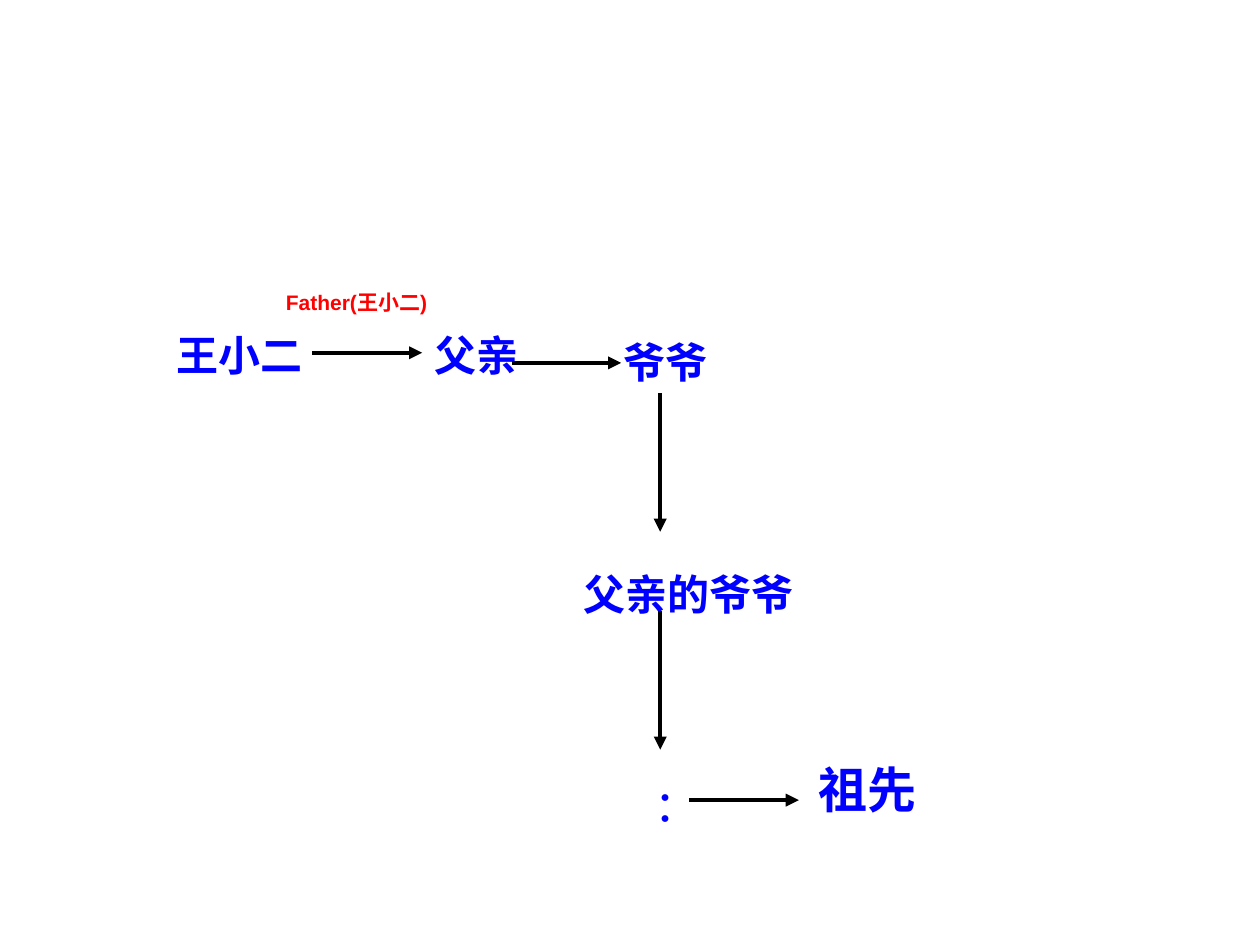
"""Build a slide tracing a family line from 王小二 to his ancestors."""
from lxml import etree
from pptx import Presentation
from pptx.dml.color import RGBColor
from pptx.enum.shapes import MSO_CONNECTOR
from pptx.enum.text import MSO_AUTO_SIZE, PP_ALIGN
from pptx.oxml.ns import qn
from pptx.util import Inches, Pt

STRAIGHT = MSO_CONNECTOR.STRAIGHT
GROW = MSO_AUTO_SIZE.SHAPE_TO_FIT_TEXT
LEFT, CENTER = PP_ALIGN.LEFT, PP_ALIGN.CENTER

THEME = {
    "person": RGBColor(0x00, 0x00, 0xFF),
    "function": RGBColor(0xFF, 0x00, 0x00),
    "arrow": RGBColor(0x00, 0x00, 0x00),
    "serif": "Times New Roman",
    "sans": "Arial",
    "person_size": Pt(24),
    "ancestor_size": Pt(28),
    "function_size": Pt(12),
    "arrow_width": Pt(2.5),
}


def add_label(slide, text, box, size, color, font, align=LEFT, spacing=1.4):
    sp = slide.shapes.add_textbox(*[Inches(v) for v in box])
    tf = sp.text_frame
    tf.word_wrap = True
    tf.auto_size = GROW
    tf.text = text
    p = tf.paragraphs[0]
    p.alignment = align
    p.line_spacing = spacing
    r = p.runs[0]
    r.font.name = font
    r.font.size = size
    r.font.bold = True
    r.font.color.rgb = color


prs = Presentation()
prs.slide_width, prs.slide_height = Inches(10), Inches(7.5)
s = prs.slides.add_slide(prs.slide_layouts[6])

people = [
    ("王小二", (1.3, 2.41, 1.26, 0.66), "person_size"),
    ("父亲", (3.35, 2.41, 0.95, 0.66), "person_size"),
    ("爷爷", (4.85, 2.46, 0.92, 0.66), "person_size"),
    ("父亲的爷爷", (4.53, 4.3, 1.94, 0.66), "person_size"),
    ("︰", (5.02, 6, 0.53, 0.66), "person_size"),
    ("祖先", (6.4, 5.79, 1.04, 0.76), "ancestor_size"),
]
for text, box, size in people:
    add_label(s, text, box, THEME[size], THEME["person"], THEME["serif"])

ACROSS, DOWN = (0.87, 0), (0, 1.1)
arrows = [
    (2.48, 2.8, ACROSS),
    (4.06, 2.88, ACROSS),
    (5.24, 3.12, DOWN),
    (5.24, 4.85, DOWN),
    (5.47, 6.35, ACROSS),
]
for x, y, (dx, dy) in arrows:
    line = s.shapes.add_connector(
        STRAIGHT, Inches(x), Inches(y), Inches(x + dx), Inches(y + dy)
    )
    line.line.color.rgb = THEME["arrow"]
    line.line.width = THEME["arrow_width"]
    etree.SubElement(line.line._get_or_add_ln(), qn("a:tailEnd"), type="triangle")
    etree.SubElement(line._element.spPr, qn("a:effectLst"))

add_label(s, "Father(王小二)", (2.16, 2.25, 1.34, 0.5), THEME["function_size"],
          THEME["function"], THEME["sans"], CENTER, 1.0)

prs.save("out.pptx")
